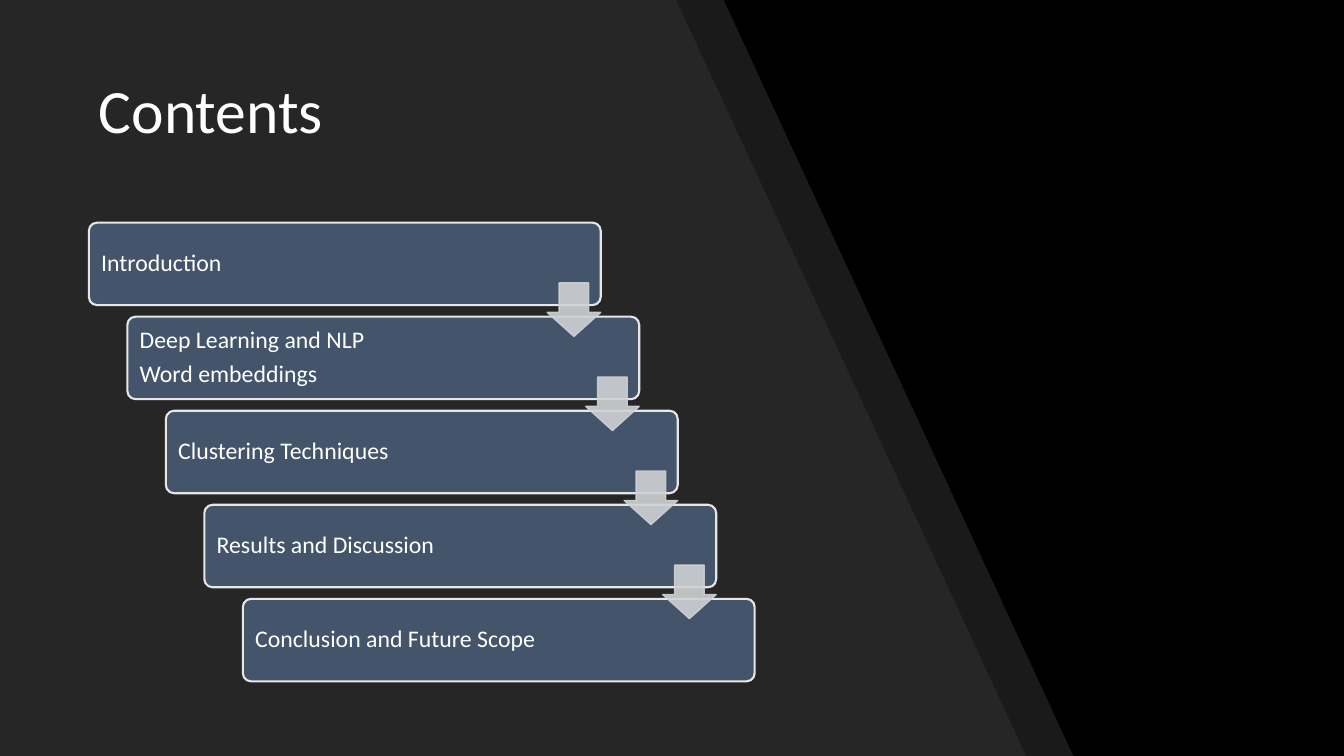
from dataclasses import dataclass

from lxml import etree
from pptx import Presentation
from pptx.dml.color import RGBColor
from pptx.enum.shapes import MSO_SHAPE
from pptx.enum.text import MSO_ANCHOR, PP_ALIGN
from pptx.oxml.ns import qn
from pptx.util import Cm, Pt

ROUNDED, DOWN_ARROW = MSO_SHAPE.ROUNDED_RECTANGLE, MSO_SHAPE.DOWN_ARROW
MIDDLE, LEFT = MSO_ANCHOR.MIDDLE, PP_ALIGN.LEFT

# Content
TITLE = "Contents"
STEPS = [
    ["Introduction"],
    ["Deep Learning and NLP", "Word embeddings"],
    ["Clustering Techniques"],
    ["Results and Discussion"],
    ["Conclusion and Future Scope"],
]
# Slanted panels: top right x, bottom right x, opacity in percent
PANELS = [(18.24, 27.05, 70), (17.04, 25.86, 100)]


@dataclass(frozen=True)
class Theme:
    font: str = "Calibri"
    background: str = "000000"
    panel: str = "262626"
    step: str = "44546A"
    step_line: str = "E7E6E6"
    arrow: str = "CFD1D4"
    text: str = "FFFFFF"
    title_size: float = 44
    step_size: float = 17


THEME = Theme()

# Layout in centimetres
SLIDE_WIDTH, SLIDE_HEIGHT = 33.87, 19.05
LEFT_EDGE, FIRST_TOP = 2.24, 5.61
STEP_WIDTH, STEP_HEIGHT = 12.9, 2.08
SHIFT_X, SHIFT_Y = 0.97, 2.37
ARROW_SIZE, ARROW_DROP = 1.35, 1.52


def set_opacity(fill, shape_part, percent):
    """Make a solid colour partly transparent."""
    if percent < 100:
        color = shape_part.find(qn("a:solidFill"))[0]
        etree.SubElement(color, qn("a:alpha")).set("val", str(percent * 1000))


def paint(shape, fill, line=None, line_width=1, opacity=100):
    shape.shadow.inherit = False
    shape.fill.solid()
    shape.fill.fore_color.rgb = RGBColor.from_string(fill)
    properties = shape.element.spPr
    set_opacity(shape.fill, properties, opacity)
    if line is None:
        shape.line.fill.background()
        return
    shape.line.color.rgb = RGBColor.from_string(line)
    shape.line.width = Pt(line_width)
    set_opacity(shape.line.fill, properties.find(qn("a:ln")), opacity)


def write(shape, lines, size, color=THEME.text, inset=0.25, gap=6):
    frame = shape.text_frame
    frame.word_wrap = True
    frame.vertical_anchor = MIDDLE
    frame.margin_left = frame.margin_right = Cm(inset)
    frame.margin_top = frame.margin_bottom = Cm(0.13)
    for index, line in enumerate(lines):
        para = frame.add_paragraph() if index else frame.paragraphs[0]
        para.alignment = LEFT
        para.line_spacing = 0.9
        if index:
            para.space_before = Pt(gap)
        span = para.add_run()
        span.text = line
        span.font.name = THEME.font
        span.font.size = Pt(size)
        span.font.color.rgb = RGBColor.from_string(color)


def add_panel(page, top_right, bottom_right, opacity):
    builder = page.shapes.build_freeform(0, 0)
    corners = [(top_right, 0), (bottom_right, SLIDE_HEIGHT), (0, SLIDE_HEIGHT)]
    builder.add_line_segments([(Cm(x), Cm(y)) for x, y in corners], close=True)
    paint(builder.convert_to_shape(), THEME.panel, opacity=opacity)


def add_step(page, index, lines):
    box = page.shapes.add_shape(
        ROUNDED, Cm(LEFT_EDGE + index * SHIFT_X), Cm(FIRST_TOP + index * SHIFT_Y),
        Cm(STEP_WIDTH), Cm(STEP_HEIGHT))
    box.adjustments[0] = 0.1
    paint(box, THEME.step, THEME.step_line, line_width=1.5)
    write(box, lines, THEME.step_size)


def add_arrow(page, index):
    arrow = page.shapes.add_shape(
        DOWN_ARROW,
        Cm(LEFT_EDGE + STEP_WIDTH - ARROW_SIZE + index * SHIFT_X),
        Cm(FIRST_TOP + ARROW_DROP + index * SHIFT_Y),
        Cm(ARROW_SIZE), Cm(ARROW_SIZE))
    # Head height first, then stem width
    arrow.adjustments[0], arrow.adjustments[1] = 0.55, 0.45
    paint(arrow, THEME.arrow, THEME.arrow, opacity=90)


def main():
    deck = Presentation()
    deck.slide_width, deck.slide_height = Cm(SLIDE_WIDTH), Cm(SLIDE_HEIGHT)
    page = deck.slides.add_slide(deck.slide_layouts[6])

    # Background
    page.background.fill.solid()
    page.background.fill.fore_color.rgb = RGBColor.from_string(THEME.background)
    for panel in PANELS:
        add_panel(page, *panel)

    # Title
    title = page.shapes.add_textbox(Cm(LEFT_EDGE), Cm(1.02), Cm(14.99), Cm(3.68))
    write(title, [TITLE], THEME.title_size)

    # Staircase of steps, with an arrow from each to the next
    for index, lines in enumerate(STEPS):
        add_step(page, index, lines)
    for index in range(len(STEPS) - 1):
        add_arrow(page, index)

    deck.save("out.pptx")


if __name__ == "__main__":
    main()
